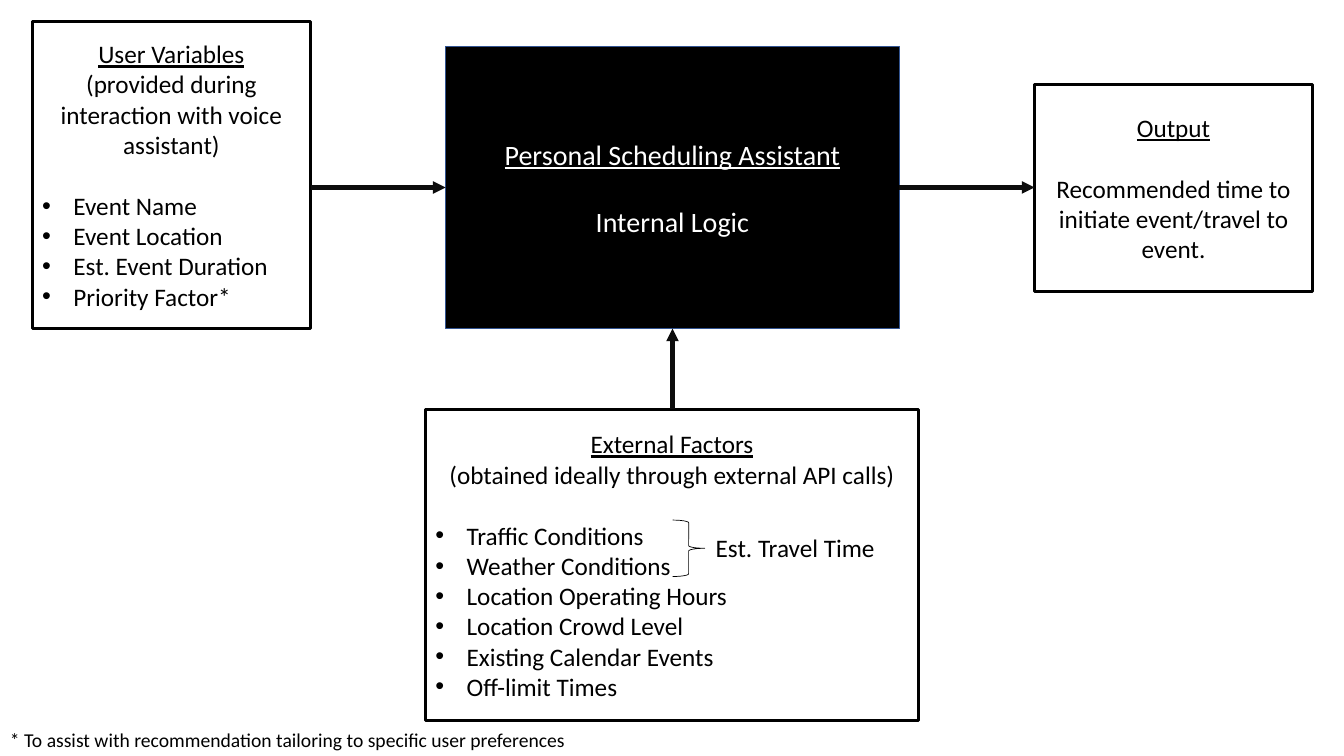
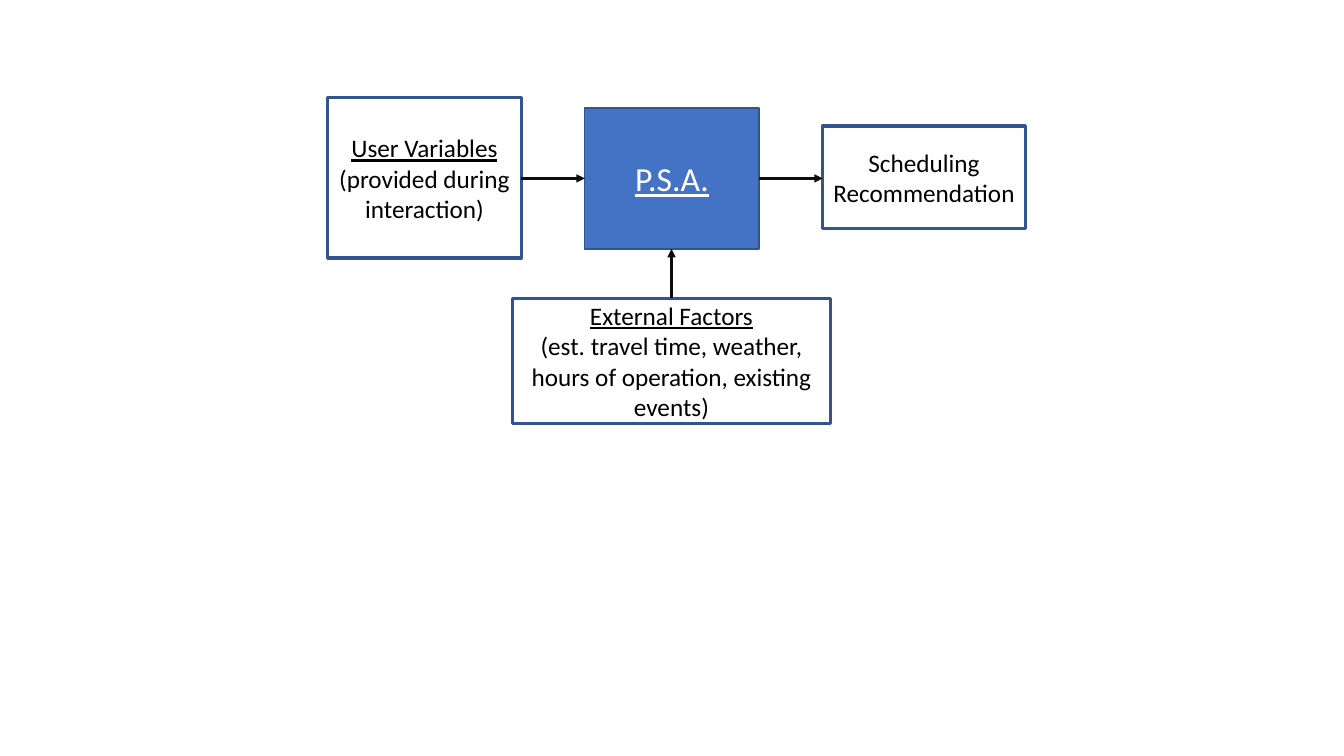
from dataclasses import dataclass

from lxml.etree import SubElement
from pptx import Presentation
from pptx.dml.color import RGBColor
from pptx.enum.shapes import MSO_CONNECTOR as Connector, MSO_SHAPE as Shape
from pptx.enum.text import MSO_ANCHOR as Anchor, PP_ALIGN as Align
from pptx.oxml.ns import qn
from pptx.util import Emu, Pt

PX = 9144  # EMU per px, 100 px to the inch
FONT = "Calibri"
BLACK = RGBColor(0x00, 0x00, 0x00)
WHITE = RGBColor(0xFF, 0xFF, 0xFF)
BLUE = RGBColor(0x44, 0x72, 0xC4)
NAVY = RGBColor(0x32, 0x54, 0x91)
ARROW = RGBColor(0x0D, 0x0D, 0x0D)
BULLET_INDENT = 31


@dataclass
class Box:
    left: int
    top: int
    width: int
    height: int

    @property
    def right(self):
        return self.left + self.width

    @property
    def bottom(self):
        return self.top + self.height

    @property
    def center_x(self):
        return self.left + self.width // 2

    @property
    def center_y(self):
        return self.top + self.height // 2

    def emu(self):
        return [px(n) for n in (self.left, self.top, self.width, self.height)]


@dataclass
class Line:
    text: str
    underline: bool = False
    bullet: bool = False
    gap: int = 0  # points of space above


def px(length):
    return Emu(length * PX)


def heading(text):
    return Line(text, underline=True)


def bullets(*texts):
    """Bulleted lines, set one text line below what precedes them."""
    return [Line(text, bullet=True, gap=0 if i else 22) for i, text in enumerate(texts)]


def add_bullet(paragraph):
    props = paragraph._p.get_or_add_pPr()
    props.set("marL", str(px(BULLET_INDENT)))
    props.set("indent", str(-px(BULLET_INDENT)))
    SubElement(props, qn("a:buFont"), typeface="Arial")
    SubElement(props, qn("a:buChar"), char="•")


def write(frame, lines, size, color, align=Align.CENTER):
    frame.word_wrap = True
    for i, line in enumerate(lines):
        paragraph = frame.add_paragraph() if i else frame.paragraphs[0]
        paragraph.alignment = Align.LEFT if line.bullet else align
        if line.gap:
            paragraph.space_before = Pt(line.gap)
        if line.bullet:
            add_bullet(paragraph)
        run = paragraph.add_run()
        run.text = line.text
        run.font.color.rgb = color
        formats = {"name": FONT, "size": Pt(size), "underline": line.underline}
        for key, value in formats.items():
            setattr(run.font, key, value)


def add_panel(slide, box, lines, fill=WHITE, border=BLACK, weight=2.25, size=18, color=BLACK):
    panel = slide.shapes.add_shape(Shape.RECTANGLE, *box.emu())
    panel.shadow.inherit = False
    panel.fill.solid()
    panel.fill.fore_color.rgb = fill
    panel.line.color.rgb = border
    panel.line.width = Pt(weight)
    panel.text_frame.vertical_anchor = Anchor.MIDDLE
    write(panel.text_frame, lines, size, color)


def add_label(slide, box, text, size):
    label = slide.shapes.add_textbox(*box.emu())
    write(label.text_frame, [Line(text)], size, BLACK, Align.LEFT)


def add_arrow(slide, start, end, weight):
    arrow = slide.shapes.add_connector(Connector.STRAIGHT, *map(px, start + end))
    arrow.line.color.rgb = ARROW
    arrow.line.width = Pt(weight)
    SubElement(arrow.line._get_or_add_ln(), qn("a:tailEnd"), type="triangle")
    SubElement(arrow._element.spPr, qn("a:effectLst"))


def add_flow(slide, user, core, output, external, border, core_style, arrow_weight):
    """Inputs from the left and below feed the core, which feeds the output.

    Each part is a pair of its box and its lines.
    """
    add_panel(slide, *core, border=NAVY, weight=1, color=WHITE, **core_style)
    for part in (user, output, external):
        add_panel(slide, *part, border=border)

    # Arrows run along the middle axes of the core
    hub = core[0]
    for start, end in (
        ((user[0].right, hub.center_y), (hub.left, hub.center_y)),
        ((hub.right, hub.center_y), (output[0].left, hub.center_y)),
        ((hub.center_x, external[0].top), (hub.center_x, hub.bottom)),
    ):
        add_arrow(slide, start, end, arrow_weight)


def add_travel_time(slide, box):
    """Brace joining the first two external factors, with its label."""
    brace_box = Box(box.left + 245, box.top + 110, 32, 56)
    brace = slide.shapes.add_shape(Shape.RIGHT_BRACE, *brace_box.emu())
    brace.shadow.inherit = False
    brace.fill.background()
    brace.line.color.rgb = BLACK
    brace.line.width = Pt(0.5)
    add_label(slide, Box(brace_box.right + 1, brace_box.top + 7, 204, 40),
              "Est. Travel Time", 18)


def build_detailed_slide(slide):
    external_box = Box(422, 406, 489, 309)
    add_flow(
        slide,
        user=(Box(32, 21, 276, 305), [
            heading("User Variables"),
            Line("(provided during interaction with voice assistant)"),
            *bullets("Event Name", "Event Location", "Est. Event Duration",
                     "Priority Factor*"),
        ]),
        core=(Box(442, 46, 450, 280), [
            heading("Personal Scheduling Assistant"),
            Line("Internal Logic", gap=24),
        ]),
        output=(Box(1026, 84, 276, 205), [
            heading("Output"),
            Line("Recommended time to initiate event/travel to event.", gap=22),
        ]),
        external=(external_box, [
            heading("External Factors"),
            Line("(obtained ideally through external API calls)"),
            *bullets("Traffic Conditions", "Weather Conditions",
                     "Location Operating Hours", "Location Crowd Level",
                     "Existing Calendar Events", "Off-limit Times"),
        ]),
        border=BLACK,
        core_style={"fill": BLACK, "size": 20},
        arrow_weight=3,
    )
    add_travel_time(slide, external_box)
    add_label(slide, Box(0, 717, 1078, 34),
              "* To assist with recommendation tailoring to specific user preferences", 14)


def build_summary_slide(slide):
    add_flow(
        slide,
        user=(Box(325, 97, 192, 159), [
            heading("User Variables"),
            Line("(provided during interaction)"),
        ]),
        core=(Box(580, 107, 173, 140), [heading("P.S.A.")]),
        output=(Box(816, 125, 201, 102), [Line("Scheduling Recommendation")]),
        external=(Box(508, 296, 316, 124), [
            heading("External Factors"),
            Line("(est. travel time, weather, hours of operation, existing events)"),
        ]),
        border=NAVY,
        core_style={"fill": BLUE, "size": 24},
        arrow_weight=2,
    )


def main():
    deck = Presentation()
    deck.slide_width, deck.slide_height = px(1333), px(750)
    blank = deck.slide_layouts[6]
    for build in (build_detailed_slide, build_summary_slide):
        build(deck.slides.add_slide(blank))
    deck.save("out.pptx")


if __name__ == "__main__":
    main()
